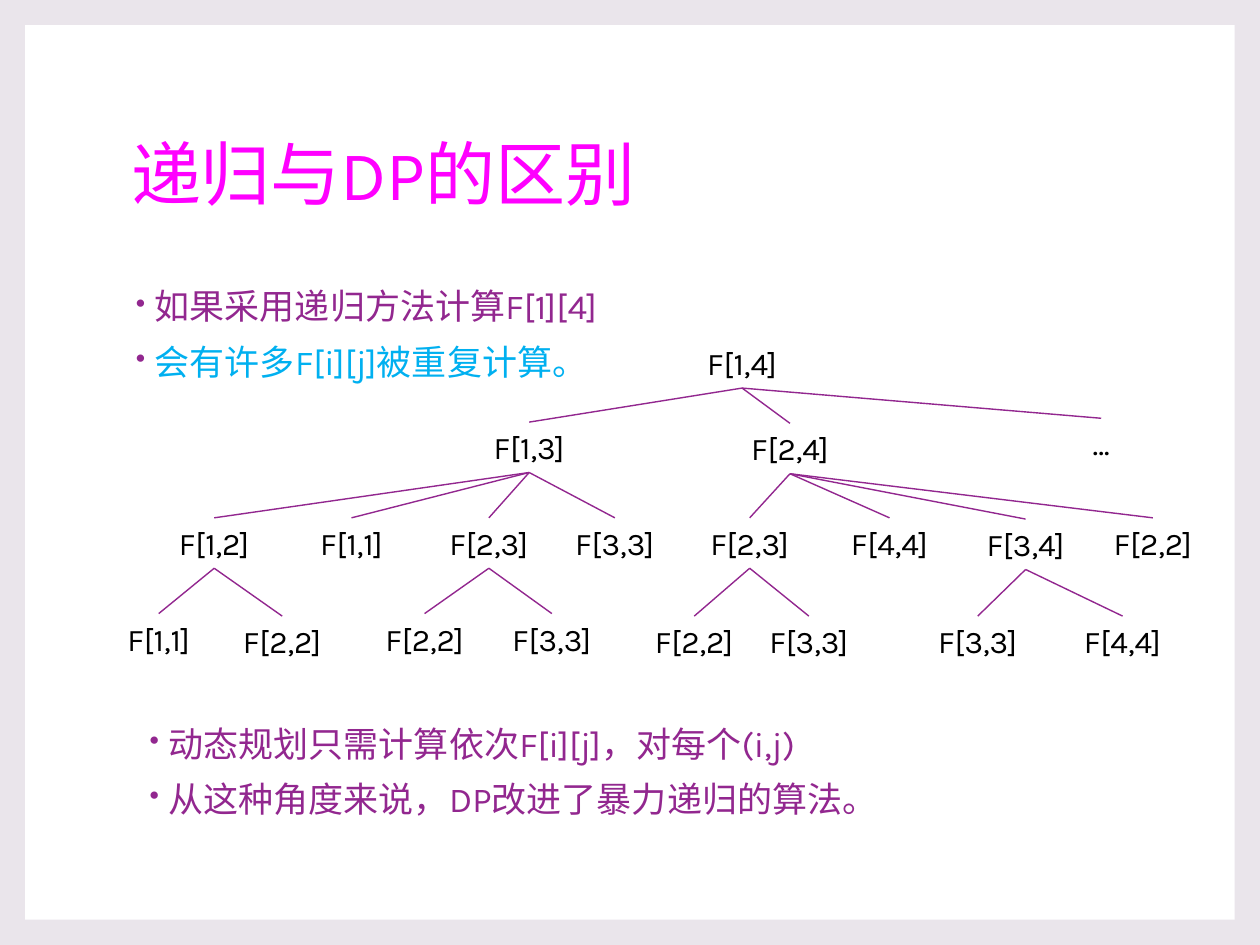
import pptx
import pptx.dml.color
import pptx.enum.shapes
import pptx.enum.text
import pptx.oxml.ns
import pptx.util
from lxml import etree
from pptx.util import Inches

FONT = "Karla"
PURPLE = "92278F"
LABEL_W, LABEL_H = 1.2, 0.4

# Each node: text, centre x, top y, children
TREE = ("F[1,4]", 5.89, 2.68, [
    ("F[1,3]", 4.2, 3.35, [
        ("F[1,2]", 1.7, 4.11, [
            ("F[1,1]", 1.26, 4.87, []),
            ("F[2,2]", 2.24, 4.89, []),
        ]),
        ("F[1,1]", 2.79, 4.11, []),
        ("F[2,3]", 3.88, 4.11, [
            ("F[2,2]", 3.37, 4.87, []),
            ("F[3,3]", 4.38, 4.87, []),
        ]),
        ("F[3,3]", 4.88, 4.11, []),
    ]),
    ("F[2,4]", 6.27, 3.36, [
        ("F[2,3]", 5.95, 4.11, [
            ("F[2,2]", 5.51, 4.89, []),
            ("F[3,3]", 6.42, 4.89, []),
        ]),
        ("F[4,4]", 7.06, 4.11, []),
        ("F[3,4]", 8.14, 4.12, [
            ("F[3,3]", 7.76, 4.89, []),
            ("F[4,4]", 8.91, 4.89, []),
        ]),
        ("F[2,2]", 9.15, 4.11, []),
    ]),
    ("…", 8.74, 3.32, []),
])


def rgb(value):
    return pptx.dml.color.RGBColor.from_string(value)


def add_xml(parent, tag, **attrs):
    return etree.SubElement(parent, pptx.oxml.ns.qn(tag), attrs)


def add_bullet(p):
    pPr = p._p.get_or_add_pPr()
    pPr.set("marL", str(Inches(0.19)))
    pPr.set("indent", str(Inches(-0.15)))
    add_xml(add_xml(pPr, "a:buClr"), "a:srgbClr", val=PURPLE)
    add_xml(pPr, "a:buSzPct", val="80000")
    add_xml(pPr, "a:buChar", char="•")


def write(p, text, size=18, color="000000", align="LEFT", spacing=None):
    p.alignment = getattr(pptx.enum.text.PP_ALIGN, align)
    if spacing:
        p.line_spacing = spacing
    r = p.add_run()
    r.text = text
    r.font.name = FONT
    r.font.size = pptx.util.Pt(size)
    r.font.color.rgb = rgb(color)


def add_panel(s):
    """Put the white page panel behind the title."""
    sp = s.shapes.add_shape(pptx.enum.shapes.MSO_SHAPE.RECTANGLE,
                            Inches(0.2), Inches(0.2), Inches(9.6), Inches(7.1))
    sp.shadow.inherit = False
    sp.fill.solid()
    sp.fill.fore_color.rgb = rgb("FFFFFF")
    sp.line.fill.background()
    s.shapes.title._element.addprevious(sp._element)


def set_title(s, text):
    sp = s.shapes.title
    sp.left, sp.top = Inches(0.94), Inches(0.67)
    sp.width, sp.height = Inches(8.1), Inches(1.48)
    tf = sp.text_frame
    tf.auto_size = pptx.enum.text.MSO_AUTO_SIZE.NONE
    tf.vertical_anchor = pptx.enum.text.MSO_ANCHOR.MIDDLE
    write(tf.paragraphs[0], text, size=40, color="FF00FF", spacing=0.9)


def add_bullets(s, left, top, height, items):
    sp = s.shapes.add_textbox(Inches(left), Inches(top), Inches(8.1), Inches(height))
    tf = sp.text_frame
    tf.word_wrap = True
    for i, (text, color) in enumerate(items):
        p = tf.add_paragraph() if i else tf.paragraphs[0]
        add_bullet(p)
        if i:
            p.space_before = pptx.util.Pt(10)
        write(p, text, size=20, color=color, spacing=0.9)


def add_label(s, text, center, top):
    sp = s.shapes.add_textbox(Inches(center - LABEL_W / 2), Inches(top),
                              Inches(LABEL_W), Inches(LABEL_H))
    tf = sp.text_frame
    tf.word_wrap = True
    tf.auto_size = pptx.enum.text.MSO_AUTO_SIZE.SHAPE_TO_FIT_TEXT
    write(tf.paragraphs[0], text, align="CENTER")
    return sp


def add_branch(s, parent, child):
    line = s.shapes.add_connector(pptx.enum.shapes.MSO_CONNECTOR.STRAIGHT, 0, 0, 0, 0)
    line.begin_connect(parent, 2)
    line.end_connect(child, 0)
    line.line.color.rgb = rgb(PURPLE)
    line.line.width = pptx.util.Pt(0.79)
    add_xml(line._element.spPr, "a:effectLst")


def add_tree(s, node):
    """Draw a node with all its descendants and return the node's label."""
    text, center, top, children = node
    label = add_label(s, text, center, top)
    for child in children:
        add_branch(s, label, add_tree(s, child))
    return label


def main():
    prs = pptx.Presentation()
    prs.slide_width, prs.slide_height = Inches(10), Inches(7.5)
    s = prs.slides.add_slide(prs.slide_layouts[5])
    s.background.fill.solid()
    s.background.fill.fore_color.rgb = rgb("EAE5EB")
    add_panel(s)
    set_title(s, "递归与DP的区别")
    add_bullets(s, 0.94, 2.25, 1.5, [
        ("如果采用递归方法计算F[1][4]", PURPLE),
        ("会有许多F[i][j]被重复计算。", "00B0F0"),
    ])
    add_tree(s, TREE)
    add_bullets(s, 1.05, 5.72, 1.03, [
        ("动态规划只需计算依次F[i][j]，对每个(i,j)", PURPLE),
        ("从这种角度来说，DP改进了暴力递归的算法。", PURPLE),
    ])
    prs.save("out.pptx")


if __name__ == "__main__":
    main()
